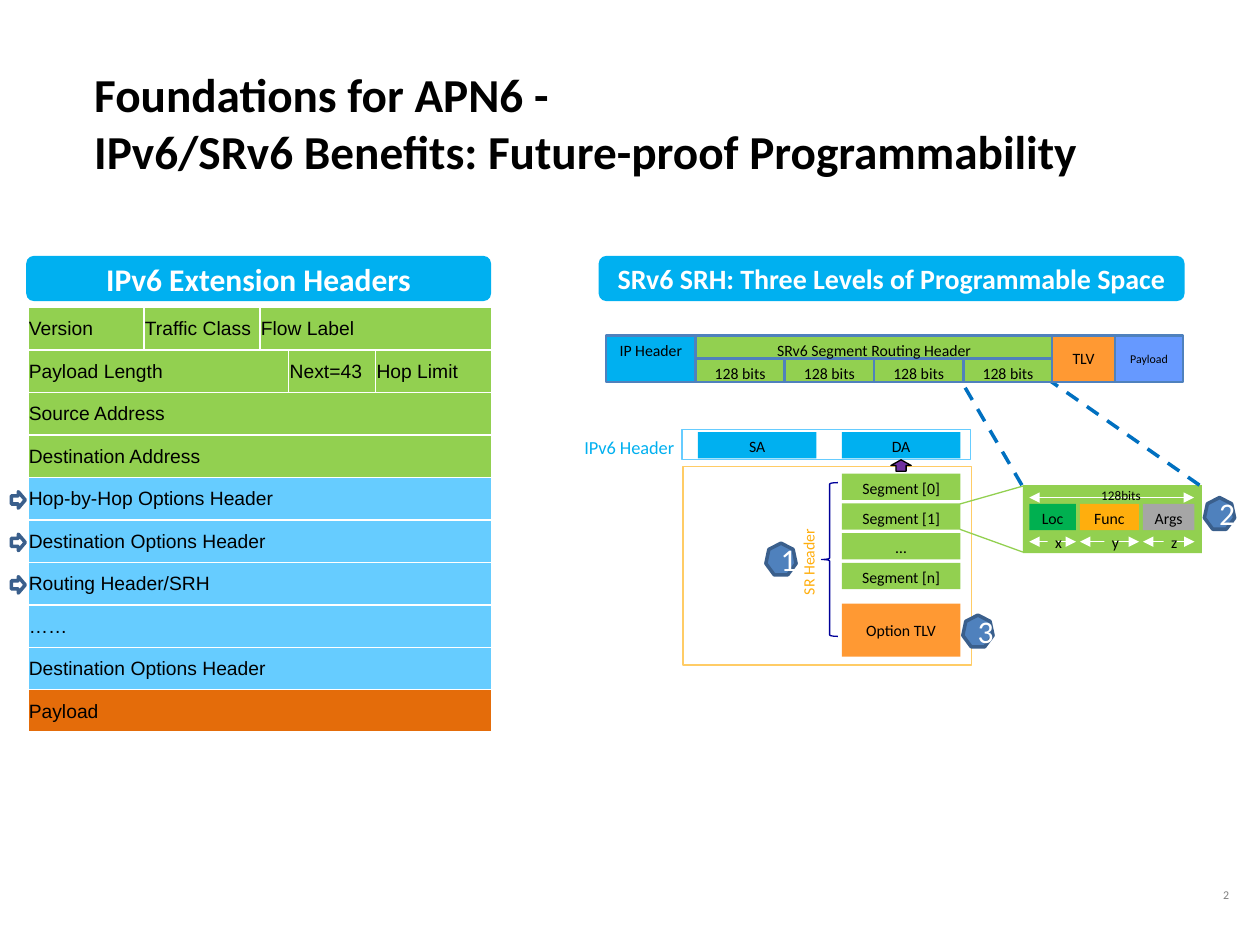
import pptx
import pptx.dml.color
import pptx.enum.dml
import pptx.enum.shapes
import pptx.enum.text
import pptx.oxml
import pptx.oxml.ns
import pptx.util

Cm = pptx.util.Cm
Pt = pptx.util.Pt
RGBColor = pptx.dml.color.RGBColor
Kind = pptx.enum.shapes.MSO_SHAPE
Align = pptx.enum.text.PP_ALIGN
Anchor = pptx.enum.text.MSO_ANCHOR

BLACK = RGBColor(0, 0, 0)
WHITE = RGBColor(255, 255, 255)
GRAY = RGBColor(0x80, 0x80, 0x80)
SILVER = RGBColor(0xA6, 0xA6, 0xA6)
LIME = RGBColor(0x92, 0xD0, 0x50)
GREEN = RGBColor(0x00, 0xB0, 0x50)
CYAN = RGBColor(0x00, 0xB0, 0xF0)
SKY = RGBColor(0x66, 0xCC, 0xFF)
BLUE = RGBColor(0x00, 0x70, 0xC0)
STEEL = RGBColor(0x4F, 0x81, 0xBD)
SLATE = RGBColor(0x3A, 0x5F, 0x8C)
NAVY = RGBColor(0x00, 0x00, 0x99)
IRIS = RGBColor(0x66, 0x99, 0xFF)
PURPLE = RGBColor(0x70, 0x30, 0xA0)
ORANGE = RGBColor(0xFF, 0x99, 0x33)
RUST = RGBColor(0xE4, 0x6C, 0x0A)
AMBER = RGBColor(0xFF, 0xAE, 0x0D)
SAND = RGBColor(0xFF, 0xCC, 0x66)

TIGHT = (0.18, 0.1, 0.18, 0.1)
LOOSE = (0.25, 0.13, 0.25, 0.13)


def write(frame, words, size=9, color=BLACK, bold=False, align=Align.CENTER,
          anchor=Anchor.TOP, inset=TIGHT, wrap=True, font="Calibri", space=None):
    frame.text = words
    frame.word_wrap = wrap
    frame.vertical_anchor = anchor
    (frame.margin_left, frame.margin_top,
     frame.margin_right, frame.margin_bottom) = map(Cm, inset)
    for para in frame.paragraphs:
        para.alignment = align
        para.line_spacing = space
        face = para.runs[0].font
        face.name, face.size, face.bold = font, Pt(size), bold
        face.color.rgb = color


def shape(slide, box, kind, spot, fill=None, line=None, width=0.75, words=None, **style):
    x, y, w, h = spot
    item = slide.shapes.add_shape(kind, Cm(box[0] + x), Cm(box[1] + y), Cm(w), Cm(h))
    item.shadow.inherit = False
    if fill is None:
        item.fill.background()
    else:
        item.fill.solid()
        item.fill.fore_color.rgb = fill
    if line is None:
        item.line.fill.background()
    else:
        item.line.color.rgb = line
        item.line.width = Pt(width)
    if words:
        write(item.text_frame, words, **style)
    return item


def label(slide, box, spot, words, turn=0, **style):
    x, y, w, h = spot
    item = slide.shapes.add_textbox(Cm(box[0] + x), Cm(box[1] + y), Cm(w), Cm(h))
    item.rotation = turn
    write(item.text_frame, words, **style)


def stroke(slide, box, start, end, color, width=0.75, dash=False, heads=False):
    (a, b), (c, d) = start, end
    line = slide.shapes.add_connector(
        pptx.enum.shapes.MSO_CONNECTOR.STRAIGHT,
        Cm(box[0] + a), Cm(box[1] + b), Cm(box[0] + c), Cm(box[1] + d))
    line.line.color.rgb = color
    line.line.width = Pt(width)
    if dash:
        line.line.dash_style = pptx.enum.dml.MSO_LINE.DASH
    props = line._element.spPr
    if heads:
        for end_tag in ("a:headEnd", "a:tailEnd"):
            tip = pptx.oxml.ns.qn(end_tag)
            props.find(pptx.oxml.ns.qn("a:ln")).makeelement(tip)
            mark = pptx.oxml.parse_xml(
                f'<{end_tag} {pptx.oxml.ns.nsdecls("a")} type="triangle"/>')
            line.line._get_or_add_ln().append(mark)
    props.append(pptx.oxml.parse_xml(f'<a:effectLst {pptx.oxml.ns.nsdecls("a")}/>'))


def banner(slide, box, words, size):
    shape(slide, box, Kind.ROUNDED_RECTANGLE, (0, 0, *box[2:]), CYAN, words=words,
          size=size, color=WHITE, bold=True, anchor=Anchor.MIDDLE, inset=(0, 0.13, 0, 0.13))


def border(cell):
    props = cell._tc.get_or_add_tcPr()
    for side in "LRTB":
        props.append(pptx.oxml.parse_xml(
            f'<a:ln{side} {pptx.oxml.ns.nsdecls("a")} w="12700"><a:solidFill>'
            f'<a:srgbClr val="{WHITE}"/></a:solidFill></a:ln{side}>'))


def headers(slide, box):
    rows = [
        (LIME, [("Version", 0, 0), ("Traffic Class", 1, 1), ("Flow Label", 2, 4)]),
        (LIME, [("Payload Length", 0, 2), ("Next=43", 3, 3), ("Hop Limit", 4, 4)]),
    ] + [(fill, [(words, 0, 4)]) for fill, words in (
        (LIME, "Source Address"), (LIME, "Destination Address"),
        (SKY, "Hop-by-Hop Options Header"), (SKY, "Destination Options Header"),
        (SKY, "Routing Header/SRH"), (SKY, "……"),
        (SKY, "Destination Options Header"), (RUST, "Payload"))]
    widths = (2.34, 2.34, 0.58, 1.75, 2.34)
    grid = slide.shapes.add_table(len(rows), len(widths), *map(Cm, box)).table
    grid.first_row = grid.horz_banding = False
    for col, width in zip(grid.columns, widths):
        col.width = Cm(width)
    for r, (fill, parts) in enumerate(rows):
        for cell in grid.rows[r].cells:
            border(cell)
            cell.fill.solid()
            cell.fill.fore_color.rgb = fill
        for words, first, last in parts:
            cell = grid.cell(r, first)
            if last > first:
                cell.merge(grid.cell(r, last))
            write(cell.text_frame, words, size=11, font="Arial", align=Align.LEFT)
            cell.vertical_anchor = Anchor.MIDDLE
            cell.margin_left = cell.margin_right = cell.margin_top = Cm(0.02)
            cell.margin_bottom = 0
    step = box[3] / len(rows)
    for r in (4, 5, 6):
        shape(slide, box, Kind.RIGHT_ARROW, (-0.33, r * step + 0.29, 0.28, 0.33),
              WHITE, SLATE, 2)


def packet(slide, box):
    unit, tall = 1.8, box[3]
    half = tall / 2
    parts = [((unit * (n + 1), half, unit, half), LIME, "128 bits", {}) for n in range(4)]
    parts += [
        ((10.26, 0, 1.37, tall), IRIS, "Payload",
         dict(size=6.8, anchor=Anchor.MIDDLE, inset=LOOSE)),
        ((0, 0, unit, tall), CYAN, "IP Header", {}),
        ((unit, 0, unit * 4, half), LIME, "SRv6 Segment Routing Header", {}),
        ((8.99, 0, 1.27, tall), ORANGE, "TLV", dict(anchor=Anchor.MIDDLE)),
    ]
    for spot, fill, words, style in parts:
        shape(slide, box, Kind.RECTANGLE, spot, fill, STEEL, 1.5, words, **style)


def stack(slide, box):
    left, wide, tall = 3.22, 2.39, 0.53
    for n, words in enumerate(("Segment [0]", "Segment [1]", "…", "Segment [n]")):
        shape(slide, box, Kind.RECTANGLE, (left, 0.89 + 0.6 * n, wide, tall), LIME, words=words)
    shape(slide, box, Kind.RECTANGLE, (left, 3.51, wide, 1.07), ORANGE,
          words="Option TLV", anchor=Anchor.MIDDLE)
    for x, words in ((left, "DA"), (0.32, "SA")):
        shape(slide, box, Kind.RECTANGLE, (x, 0.05, wide, tall), CYAN, words=words)
    shape(slide, box, Kind.RECTANGLE, (0.02, 0.74, box[2], 4.01), line=SAND)
    shape(slide, box, Kind.RECTANGLE, (0, 0, box[2], 0.61), line=SKY)
    label(slide, box, (-2.22, 0, 2.36, 0.71), "IPv6 Header", size=10.5, color=CYAN,
          align=Align.LEFT, inset=LOOSE, wrap=False)
    label(slide, box, (1.62, 2.34, 1.85, 0.64), "SR Header", turn=270, color=AMBER,
          align=Align.LEFT, inset=LOOSE, wrap=False)
    shape(slide, box, Kind.UP_ARROW, (4.21, 0.61, 0.41, 0.23), PURPLE, BLACK)
    shape(slide, box, Kind.LEFT_BRACE, (2.81, 1.07, 0.33, 3.1), line=NAVY)


def segment(slide, box):
    shape(slide, box, Kind.RECTANGLE, (0, 0, *box[2:]), LIME)
    for x, wide, fill, words, mark in (
            (0.13, 0.94, GREEN, "Loc", "x"), (1.15, 1.19, AMBER, "Func", "y"),
            (2.42, 1.04, SILVER, "Args", "z")):
        shape(slide, box, Kind.RECTANGLE, (x, 0.38, wide, 0.53), fill, words=words)
        stroke(slide, box, (x, 1.14), (x + wide, 1.14), WHITE, heads=True)
        gap = x + (wide - 0.2) / 2
        shape(slide, box, Kind.RECTANGLE, (gap, 1.02, 0.2, 0.23), LIME)
        label(slide, box, (gap - 0.1, 0.84, 0.66, 0.64), mark,
              align=Align.LEFT, inset=LOOSE, wrap=False)
    stroke(slide, box, (0.13, 0.25), (3.45, 0.25), WHITE, heads=True)
    label(slide, box, (1.33, -0.08, 1.32, 0.58), "128bits", size=7.5,
          align=Align.LEFT, inset=LOOSE, wrap=False)
    for start, end in (((-1.27, 0.38), (0, 0.02)), ((-1.27, 0.89), (0, 1.35))):
        stroke(slide, box, start, end, LIME)
    for start, end in (((-0.02, 0), (-1.19, -2.01)), ((3.56, 0), (0.51, -2.13))):
        stroke(slide, box, start, end, BLUE, 2, dash=True)


def badge(slide, box, words):
    shape(slide, box, Kind.HEPTAGON, (0, 0, 0.61, 0.64), STEEL, SLATE, 2, words,
          size=18, color=WHITE, anchor=Anchor.MIDDLE, inset=LOOSE)


def main():
    deck = pptx.Presentation()
    deck.slide_width, deck.slide_height = Cm(25.4), Cm(19.05)
    slide = deck.slides.add_slide(deck.slide_layouts[6])
    label(slide, (24.66, 17.93), (0, 0, 0.69, 0.84), "2", size=6.8, color=GRAY,
          align=Align.LEFT, inset=(0, 0, 0, 0), space=0.85)
    headers(slide, (0.56, 6.2, 9.35, 8.56))
    banner(slide, (12.07, 5.16, 11.81, 0.91), "SRv6 SRH: Three Levels of Programmable Space", 16)
    banner(slide, (0.53, 5.16, 9.37, 0.91), "IPv6 Extension Headers", 18)
    stack(slide, (13.75, 8.66, 5.82, 4.75))
    segment(slide, (20.62, 9.78, 3.61, 1.37))
    packet(slide, (12.22, 6.76, 11.63, 0.94))
    label(slide, (1.9, 1.19), (0, 0, 23.24, 2.54),
          "Foundations for APN6 -\nIPv6/SRv6 Benefits: Future-proof Programmability",
          size=27, bold=True, align=Align.LEFT, anchor=Anchor.MIDDLE, inset=(0, 0.1, 0.23, 0.1))
    for words, spot in (("1", (15.44, 10.95)), ("2", (24.28, 10.03)), ("3", (19.41, 12.4))):
        badge(slide, spot, words)


    deck.save("out.pptx")


if __name__ == "__main__":
    main()
